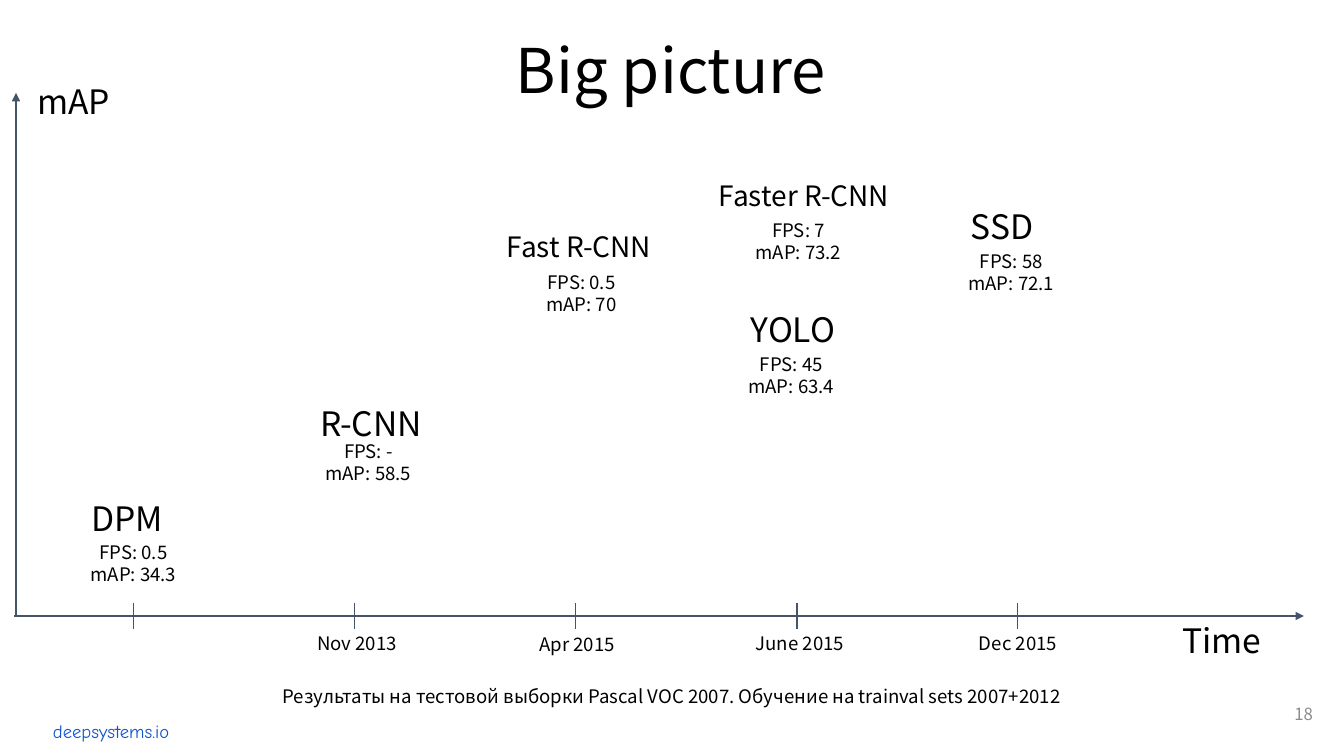
from lxml.etree import SubElement
from pptx import Presentation
from pptx.dml.color import RGBColor
from pptx.enum.shapes import MSO_CONNECTOR
from pptx.enum.text import MSO_ANCHOR, PP_ALIGN
from pptx.oxml.ns import qn
from pptx.util import Pt

PX = 914400 / 100.8
COLORS = {"text": "000000", "axis": "44546A", "link": "1155CC", "number": "8C8C8C"}
FONT = "Noto Sans CJK KR"
LINE_HEIGHTS = {44: 52, 24: 30, 20: 25, 13.3: 16, 12: 15}
INSET = 13
STATS_SIZE = (239, 66)

LABELS = [
    ("Big picture", (45, 20, 1252, 85), {"size": 44}),
    ("Time", (1169, 605, 121, 66), {"size": 24, "align": PP_ALIGN.LEFT}),
    ("mAP", (24, 66, 121, 58), {"size": 24, "align": PP_ALIGN.LEFT}),
    ("Результаты на тестовой выборки Pascal VOC 2007. Обучение на trainval sets 2007+2012",
     (253, 674, 838, 58), {}),
    ("18", (1245, 685, 81, 57), {"size": 12, "align": PP_ALIGN.RIGHT,
                                 "color": "number", "anchor": MSO_ANCHOR.MIDDLE}),
    ("deepsystems.io", (40, 709, 165, 47), {"align": PP_ALIGN.LEFT, "color": "link",
                                            "font": "Comic Neue"}),
]
DETECTORS = [
    ("Fast R-CNN", 20, (483, 215, 192, 58), "0.5", "70", (462, 260)),
    ("R-CNN", 24, (275, 388, 192, 66), "-", "58.5", (249, 429)),
    ("Faster R-CNN", 20, (701, 164, 206, 99), "7", "73.2", (679, 208)),
    ("DPM", 24, (31, 483, 192, 58), "0.5", "34.3", (14, 530)),
    ("YOLO", 24, (697, 294, 192, 58), "45", "63.4", (672, 342)),
    ("SSD", 24, (906, 191, 192, 58), "58", "72.1", (892, 239)),
]
AXES = [(14, 616, 1304, 616), (16, 617, 16, 93)]
TICK_START, TICK_STEP, TICK_TOP, TICK_BOTTOM = 134, 221, 603, 629
DATES = [("", 0, 0), ("Nov 2013", 254, 621), ("Apr 2015", 474, 622),
         ("June 2015", 697, 621), ("Dec 2015", 915, 621)]
DATE_SIZE = (206, 45)


def emu(*lengths):
    return [round(length * PX) for length in lengths]


def add_text(shapes, text, box, size=13.3, align=PP_ALIGN.CENTER, color="text",
             font=FONT, anchor=MSO_ANCHOR.TOP):
    frame = shapes.add_textbox(*emu(*box)).text_frame
    frame.text = text
    frame_format = {"word_wrap": True, "vertical_anchor": anchor}
    frame_format.update({f"margin_{side}": emu(INSET)[0]
                         for side in ("left", "top", "right", "bottom")})
    for name, value in frame_format.items():
        setattr(frame, name, value)
    for paragraph in frame.paragraphs:
        paragraph.alignment = align
        if font == FONT:
            paragraph.line_spacing = Pt(LINE_HEIGHTS[size])
        for run in paragraph.runs:
            for name, value in {"size": Pt(size), "name": font}.items():
                setattr(run.font, name, value)
            run.font.color.rgb = RGBColor.from_string(COLORS[color])
            properties = run.font._element
            for tag in ("a:ea", "a:cs"):
                SubElement(properties, qn(tag), typeface=font)


def add_line(shapes, ends, arrow=False):
    connector = shapes.add_connector(MSO_CONNECTOR.STRAIGHT, *emu(*ends))
    connector.line.width = Pt(0.75)
    connector.line.color.rgb = RGBColor.from_string(COLORS["axis"])
    if arrow:
        SubElement(connector.line._get_or_add_ln(), qn("a:tailEnd"), type="triangle")
    SubElement(connector._element.spPr, qn("a:effectLst"))


def main():
    presentation = Presentation()
    presentation.slide_width, presentation.slide_height = emu(1344, 756)
    slide = presentation.slides.add_slide(presentation.slide_layouts[6])
    shapes = slide.shapes

    for text, box, style in LABELS:
        add_text(shapes, text, box, **style)
    for name, size, box, fps, accuracy, corner in DETECTORS:
        group = shapes.add_group_shape()
        add_text(group.shapes, name, box, size)
        add_text(group.shapes, f"FPS: {fps}\nmAP: {accuracy}", corner + STATS_SIZE,
                 anchor=MSO_ANCHOR.MIDDLE)
    for ends in AXES:
        add_line(shapes, ends, arrow=True)
    for index, (date, left, top) in enumerate(DATES):
        tick = TICK_START + index * TICK_STEP
        add_line(shapes, (tick, TICK_TOP, tick, TICK_BOTTOM))
        if date:
            add_text(shapes, date, (left, top) + DATE_SIZE)
    presentation.save("out.pptx")


if __name__ == "__main__":
    main()
